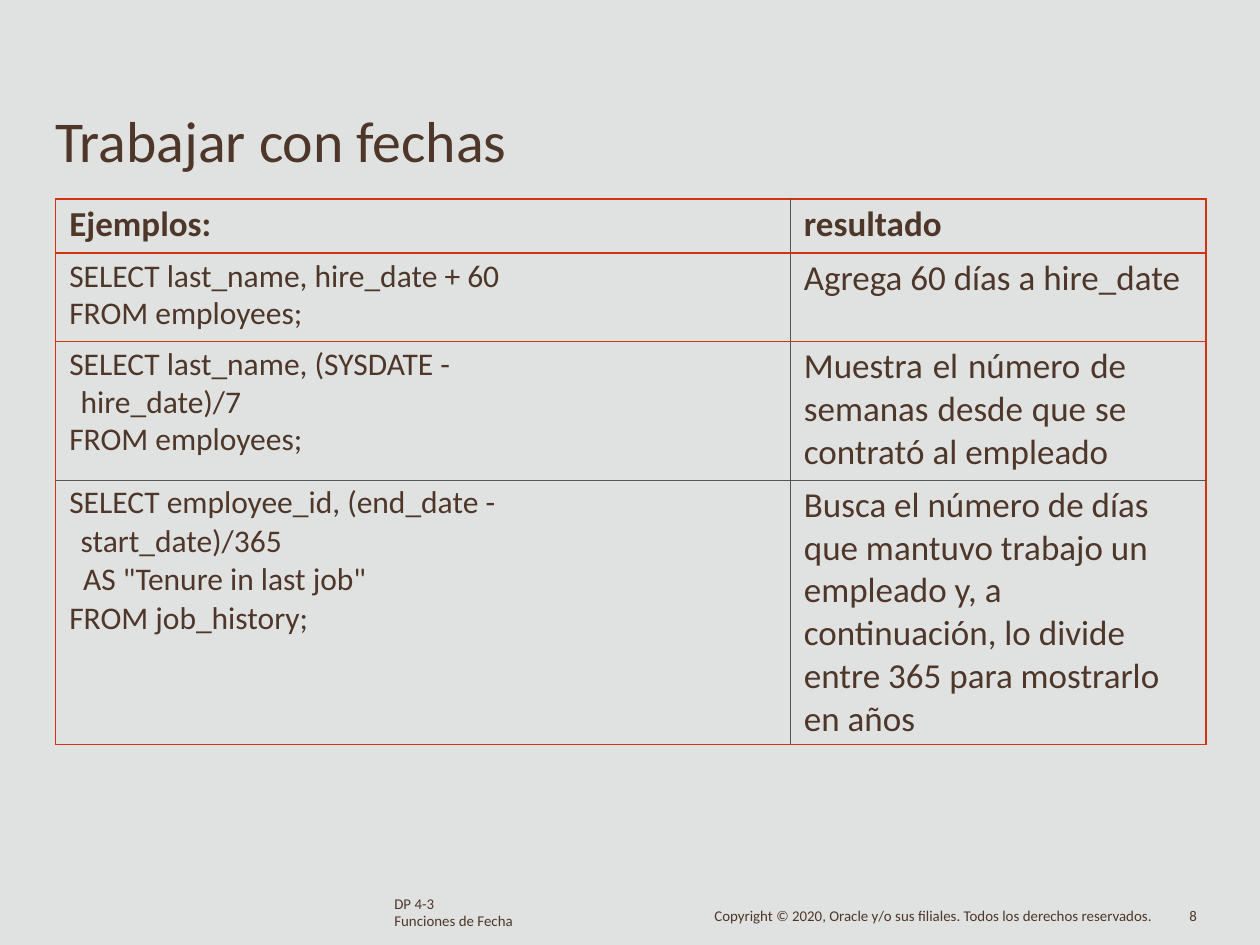
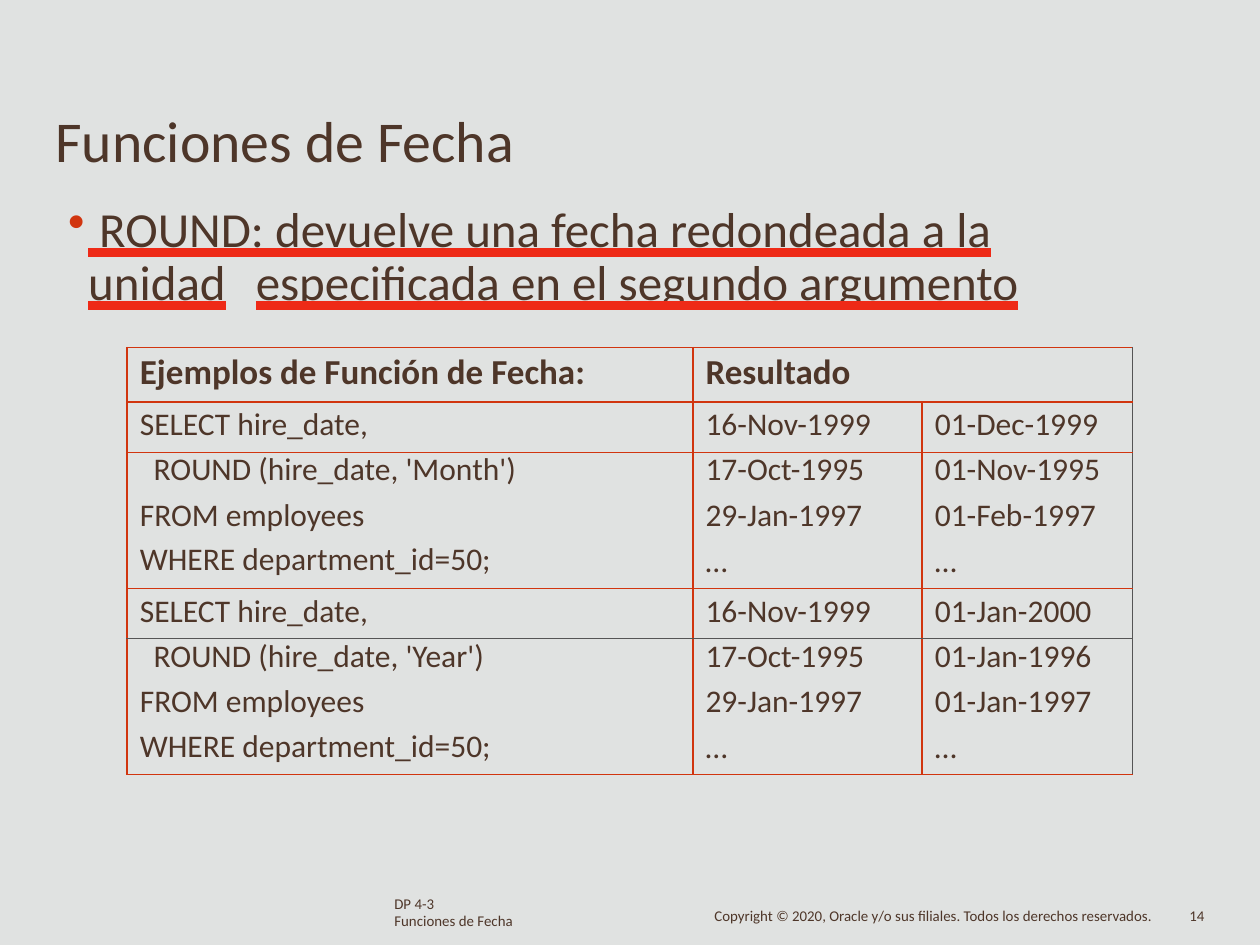
"""Builds two slides about date functions in SQL."""
from dataclasses import dataclass
from typing import Optional

import lxml.etree
import pptx
import pptx.dml.color
import pptx.enum.dml
import pptx.enum.text
import pptx.oxml.ns
import pptx.util

Inches = pptx.util.Inches
Pt = pptx.util.Pt
qn = pptx.oxml.ns.qn


@dataclass(frozen=True)
class Theme:
    font: str = "Calibri"
    background: str = "E0E2E1"
    text: str = "4E3629"
    accent: str = "D1350F"
    underline: str = "EE2A17"
    grid: str = "555555"
    title: float = 33
    bullet: float = 28
    heading: float = 20
    code: float = 18
    footer: float = 8.5


THEME = Theme()


@dataclass(frozen=True)
class Line:
    text: str
    size: float = THEME.code
    bold: bool = False
    left: float = 0
    indent: float = 0
    before: float = 0
    spacing: Optional[float] = None
    justified: bool = False
    bullet: bool = False
    underlined: bool = False


@dataclass(frozen=True)
class Cell:
    lines: tuple[Line, ...]
    top: float = 0.03
    right: float = 0
    span: int = 1


@dataclass(frozen=True)
class Grid:
    left: float
    top: float
    columns: tuple[float, ...]
    heights: tuple[float, ...]
    rows: tuple[tuple[Cell, ...], ...]
    grey_rows: tuple[int, ...] = ()
    grey_columns: tuple[int, ...] = ()
    open_rows: tuple[int, ...] = ()


def add_element(parent, tag: str, **attributes: str):
    return lxml.etree.SubElement(parent, qn(tag), attributes)


def add_color(parent, color: str) -> None:
    add_element(add_element(parent, "a:solidFill"), "a:srgbClr", val=color)


def add_run(paragraph, text: str, *, size: float, bold: bool = False,
            underlined: bool = False) -> None:
    run = paragraph.add_run()
    run.text = text
    font = run.font
    font.name, font.size, font.bold = THEME.font, Pt(size), bold
    font.color.rgb = pptx.dml.color.RGBColor.from_string(THEME.text)
    if underlined:
        font.underline = pptx.enum.text.MSO_UNDERLINE.HEAVY_LINE
        properties = run._r.get_or_add_rPr()
        fill = add_element(properties, "a:uFill")
        add_color(fill, THEME.underline)
        properties.find(qn("a:latin")).addprevious(fill)


def add_bullet(properties) -> None:
    color = add_element(properties, "a:buClr")
    add_element(color, "a:srgbClr", val=THEME.accent)
    add_element(properties, "a:buChar", char="•")
    tabs = add_element(properties, "a:tabLst")
    add_element(tabs, "a:tab", pos=str(Inches(0.2)), algn="l")


def write_lines(frame, lines: tuple[Line, ...]) -> None:
    for number, line in enumerate(lines):
        paragraph = frame.add_paragraph() if number else frame.paragraphs[0]
        properties = paragraph._p.get_or_add_pPr()
        properties.set("marL", str(Inches(line.left)))
        properties.set("indent", str(Inches(line.indent)))
        if line.bullet:
            add_bullet(properties)
        paragraph.space_before = Pt(line.before)
        if line.spacing:
            paragraph.line_spacing = Pt(line.spacing)
        if line.justified:
            paragraph.alignment = pptx.enum.text.PP_ALIGN.JUSTIFY
        for row, part in enumerate(line.text.split("\n")):
            if row:
                paragraph.add_line_break()
            for column, piece in enumerate(part.split("\t")):
                if column:
                    add_run(paragraph, "\t", size=line.size)
                add_run(paragraph, piece, size=line.size, bold=line.bold,
                        underlined=line.underlined)


def add_text(slide, *lines: Line, left: float, top: float, width: float,
             height: float, inset_top: float = 0, inset_right: float = 0) -> None:
    box = slide.shapes.add_textbox(Inches(left), Inches(top), Inches(width), Inches(height))
    frame = box.text_frame
    frame.word_wrap = True
    frame.margin_left = frame.margin_bottom = 0
    frame.margin_top, frame.margin_right = Inches(inset_top), Inches(inset_right)
    write_lines(frame, lines)


def add_border(cell, side: str, color: Optional[str]) -> None:
    width = Pt(0.5) if color == THEME.grid else Pt(1)
    line = add_element(cell._tc.get_or_add_tcPr(), f"a:ln{side}", w=str(width))
    if color:
        add_color(line, color)
    else:
        add_element(line, "a:noFill")


def border_color(edge: int, grey: tuple[int, ...], hidden: tuple[int, ...] = ()) -> Optional[str]:
    if edge in hidden:
        return None
    return THEME.grid if edge in grey else THEME.accent


def add_grid(slide, grid: Grid) -> None:
    table = slide.shapes.add_table(
        len(grid.heights), len(grid.columns), Inches(grid.left), Inches(grid.top),
        Inches(sum(grid.columns)), Inches(sum(grid.heights))).table
    table.first_row = table.horz_banding = False
    for column, width in zip(table.columns, grid.columns):
        column.width = Inches(width)
    for row, height in zip(table.rows, grid.heights):
        row.height = Inches(height)
    for r, row in enumerate(grid.rows):
        for c, content in enumerate(row):
            cell = table.cell(r, c)
            if content.span > 1:
                cell.merge(table.cell(r, c + content.span - 1))
            cell.margin_left = cell.margin_bottom = 0
            cell.margin_top, cell.margin_right = Inches(content.top), Inches(content.right)
            write_lines(cell.text_frame, content.lines)
        for c in range(len(grid.columns)):
            cell = table.cell(r, c)
            edge = c + (cell.span_width if cell.is_merge_origin else 1)
            left = None if cell.is_spanned else border_color(c, grid.grey_columns)
            add_border(cell, "L", left)
            add_border(cell, "R", border_color(edge, grid.grey_columns))
            add_border(cell, "T", border_color(r, grid.grey_rows, grid.open_rows))
            add_border(cell, "B", border_color(r + 1, grid.grey_rows, grid.open_rows))
            cell.fill.background()


def add_base(presentation, title: str, number: int):
    slide = presentation.slides.add_slide(presentation.slide_layouts[6])
    fill = slide.background.fill
    fill.solid()
    fill.fore_color.rgb = pptx.dml.color.RGBColor.from_string(THEME.background)
    add_text(slide, Line(title, THEME.title, left=0.01, before=1),
             left=0.43, top=0.82, width=4.36, height=0.58, inset_top=0.01)
    add_text(slide, Line("DP 4-3", THEME.footer, left=0.01, spacing=8.6),
             Line("Funciones de Fecha", THEME.footer, left=0.01, spacing=9.7),
             left=3.12, top=7.12, width=1.1, height=0.27)
    copyright_line = ("Copyright © 2020, Oracle y/o sus filiales. "
                      "Todos los derechos reservados.")
    for text, left, width in ((copyright_line, 5.66, 3.6), (str(number), 9.43, 0.19)):
        add_text(slide, Line(text, THEME.footer, left=0.01, spacing=9.1),
                 left=left, top=7.21, width=width, height=0.15)
    return slide


def heading(text: str, left: float, span: int = 1) -> Cell:
    return Cell((Line(text, THEME.heading, True, left, before=2.4),), span=span)


def query(*lines: Line, top: float = 0.03) -> Cell:
    return Cell(lines, top=top, right=2.1)


def meaning(text: str, right: float = 0, justified: bool = False) -> Cell:
    line = Line(text, THEME.heading, left=0.11, before=2.4, justified=justified)
    return Cell((line,), right=right)


def build_date_arithmetic(presentation) -> None:
    slide = add_base(presentation, "Trabajar con fechas", 8)
    add_grid(slide, Grid(
        0.44, 1.58, (5.83, 3.3), (0.43, 0.7, 1.1, 2.1), (
            (heading("Ejemplos:", 0.11), heading("resultado", 0.11)),
            (query(Line("SELECT last_name, hire_date + 60 FROM employees;",
                        left=0.11, before=3.6, spacing=20.9), top=0.05),
             meaning("Agrega 60 días a hire_date")),
            (query(Line("SELECT last_name, (SYSDATE - hire_date)/7",
                        left=0.2, indent=-0.09, before=2.4),
                   Line("FROM employees;", left=0.11, spacing=20.9)),
             meaning("Muestra el número de semanas desde que se contrató al empleado",
                     right=0.63, justified=True)),
            (query(Line("SELECT employee_id, (end_date - start_date)/365",
                        left=0.2, indent=-0.09, before=2.4),
                   Line('AS "Tenure in last job"\nFROM job_history;',
                        left=0.11, indent=0.11)),
             meaning("Busca el número de días que mantuvo trabajo un empleado y, a "
                     "continuación, lo divide entre 365 para mostrarlo en años",
                     right=0.33)),
        ), grey_rows=(3,), grey_columns=(1,)))


def rounding_rows(unit: str, rounded: tuple[str, str, str]) -> tuple[tuple[Cell, ...], ...]:
    dates = ("16-Nov-1999", "17-Oct-1995", "29-Jan-1997")
    firsts = ("SELECT hire_date,", *(pair[0] for pair in zip(dates, rounded)))
    selected = tuple(Cell((Line(text, left=0.1, before=2.4),))
                     for text in (firsts[0], dates[0], rounded[0]))
    function = tuple(Cell((Line(text, left=left, spacing=21.1),), top=0)
                     for text, left in ((f"ROUND (hire_date, '{unit}')", 0.21),
                                        (dates[1], 0.1), (rounded[1], 0.1)))
    source = tuple(Cell((Line(text, left=0.1, spacing=21.1),
                         Line(last, left=0.1, before=before)), top=0)
                   for text, last, before in (
                       ("FROM employees", "WHERE department_id=50;", 3.6),
                       (dates[2], "…", 4.5), (rounded[2], "…", 4.5)))
    return selected, function, source


def build_rounding(presentation) -> None:
    slide = add_base(presentation, "Funciones de Fecha", 14)
    add_text(slide, Line(" ROUND: devuelve una fecha redondeada a la unidad\t"
                         "especificada en el segundo argumento", THEME.bullet,
                         left=0.17, indent=-0.16, before=4.7, spacing=30.3,
                         bullet=True, underlined=True),
             left=0.53, top=1.55, width=8.48, height=0.91, inset_top=0.07, inset_right=0.1)
    add_grid(slide, Grid(
        1.01, 2.76, (4.49, 1.82, 1.67), (0.43, *(0.4, 0.36, 0.72) * 2), (
            (heading("Ejemplos de Función de Fecha:", 0.1), heading("Resultado", 0.1, span=2)),
            *rounding_rows("Month", ("01-Dec-1999", "01-Nov-1995", "01-Feb-1997")),
            *rounding_rows("Year", ("01-Jan-2000", "01-Jan-1996", "01-Jan-1997")),
        ), grey_rows=(5,), grey_columns=(3,), open_rows=(3, 6)))


def main() -> None:
    presentation = pptx.Presentation()
    presentation.slide_width, presentation.slide_height = Inches(10), Inches(7.5)
    build_date_arithmetic(presentation)
    build_rounding(presentation)
    presentation.save("out.pptx")


if __name__ == "__main__":
    main()
